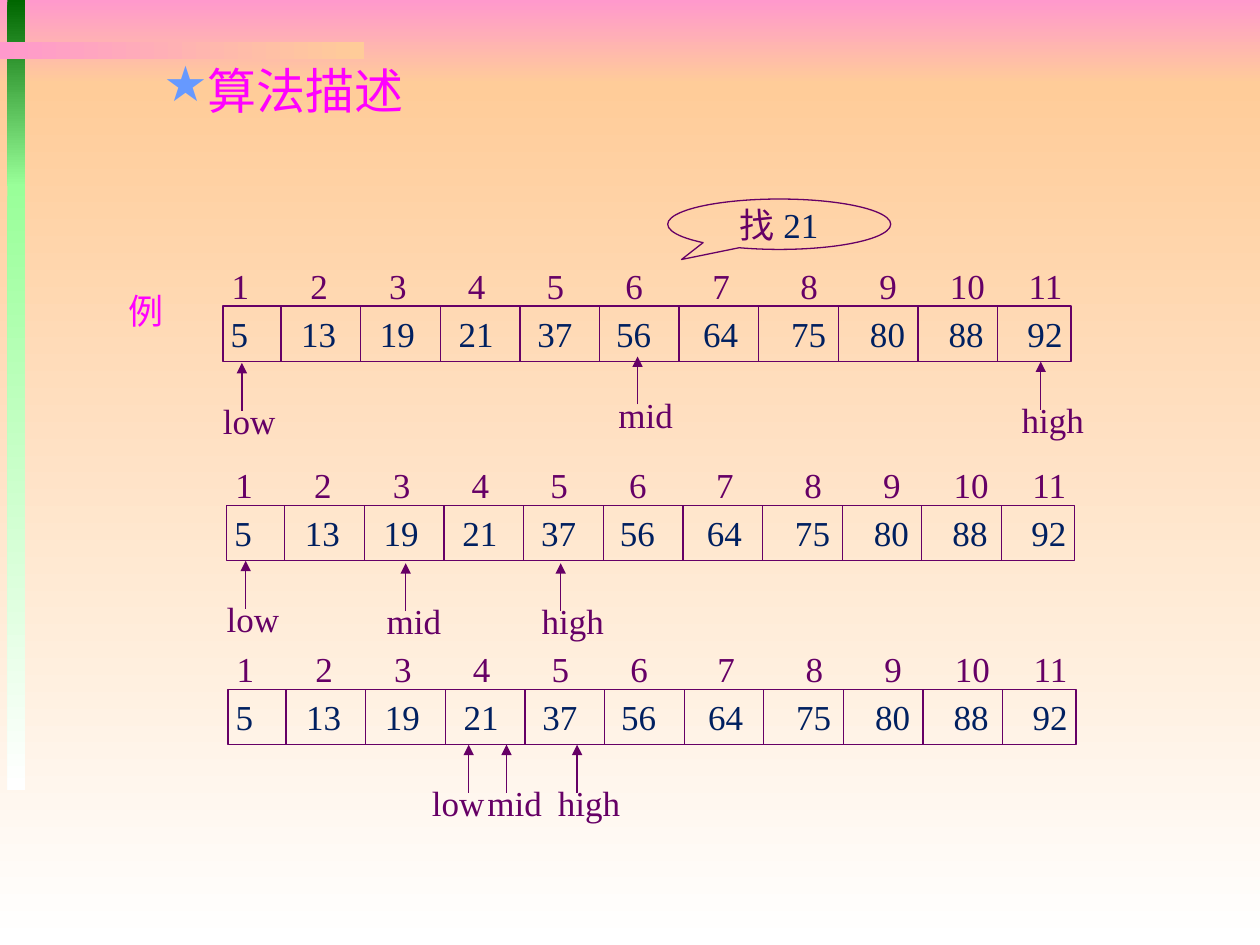
from lxml import etree
from pptx import Presentation
from pptx.dml.color import RGBColor
from pptx.enum.shapes import MSO_CONNECTOR as Link, MSO_SHAPE as Shape
from pptx.enum.text import MSO_ANCHOR as Anchor, PP_ALIGN as Align
from pptx.oxml import parse_xml
from pptx.oxml.ns import nsdecls, qn
from pptx.util import Inches, Pt

PLUM, NAVY, PINK = "660066", "002060", "FF00FF"
SERIF = "Times New Roman"
INDEX = [str(n) for n in range(1, 12)]
KEYS = "5 13 19 21 37 56 64 75 80 88 92".split()

# Distance from each number to the next, in inches
INDEX_GAPS = [0.625] * 5 + [0.69, 0.7, 0.625, 0.56, 0.625]
KEY_GAPS = [0.56] + [0.625] * 4 + [0.69, 0.7] + [0.625] * 3

LABEL_W = {"low": 0.62, "mid": 0.63, "high": 0.69}

# Each step: left and top of the array, then pointers as
# (name, arrow x, arrow tip y, label left)
STEPS = [
    (1.77, 2.43, [("low", 1.92, 2.88, 1.67), ("high", 8.26, 2.87, 8.01),
                  ("mid", 5.06, 2.83, 4.81)]),
    (1.8, 4.01, [("low", 1.95, 4.45, 1.7), ("high", 4.45, 4.47, 4.2),
                 ("mid", 3.22, 4.47, 2.97)]),
    (1.81, 5.47, [("low", 3.72, 5.91, 3.33), ("high", 4.58, 5.91, 4.33),
                  ("mid", 4.02, 5.91, 3.77)]),
]


def color(code):
    return RGBColor.from_string(code)


def add_run(para, text, code, size=20, font=SERIF):
    run = para.add_run()
    run.text = text
    run.font.size = Pt(size)
    run.font.name = font
    run.font.color.rgb = color(code)


def add_text(slide, x, y, w, h, wrap=False):
    frame = slide.shapes.add_textbox(
        Inches(x), Inches(y), Inches(w), Inches(h)).text_frame
    frame.word_wrap = wrap
    frame.margin_right = 0
    return frame


def add_form(slide, kind, x, y, w, h):
    form = slide.shapes.add_shape(
        kind, Inches(x), Inches(y), Inches(w), Inches(h))
    form.shadow.inherit = False
    return form


def add_band(slide, x, y, w, h, first, last, angle):
    band = add_form(slide, Shape.RECTANGLE, x, y, w, h)
    band.line.fill.background()
    band.fill.gradient()
    band.fill.gradient_angle = angle
    for stop, code in zip(band.fill.gradient_stops, (first, last)):
        stop.color.rgb = color(code)


def add_frame(slide, kind, x, y, w, h):
    form = add_form(slide, kind, x, y, w, h)
    form.fill.background()
    form.line.color.rgb = color(PLUM)
    form.line.width = Pt(0.75)
    form.text_frame.vertical_anchor = Anchor.MIDDLE
    return form


def add_line(slide, x, start, end, arrow=False):
    line = slide.shapes.add_connector(
        Link.STRAIGHT, Inches(x), Inches(start), Inches(x), Inches(end))
    line.line.color.rgb = color(PLUM)
    line.line.width = Pt(0.75)
    if arrow:
        edge = line.line._get_or_add_ln()
        etree.SubElement(edge, qn("a:tailEnd"), type="triangle")
    etree.SubElement(line._element.spPr, qn("a:effectLst"))


def add_series(frame, values, gaps, code):
    """Write the values on one line, spaced by tab stops."""
    para = frame.paragraphs[0]
    para.alignment = Align.LEFT
    tabs = etree.SubElement(para._p.get_or_add_pPr(), qn("a:tabLst"))
    for i in range(len(gaps)):
        place = Inches(sum(gaps[:i + 1]))
        etree.SubElement(tabs, qn("a:tab"), pos=str(place), algn="l")
    add_run(para, "\t".join(values), code)


def add_array(slide, x, y):
    # Index numbers above the cells
    frame = add_text(slide, x - 0.03, y - 0.38, 6.8, 0.43, wrap=True)
    add_series(frame, INDEX, INDEX_GAPS, PLUM)
    # Cells and their dividers
    frame = add_frame(slide, Shape.RECTANGLE, x, y, 6.73, 0.44).text_frame
    frame.margin_left = Inches(0.06)
    frame.margin_right = 0
    frame.word_wrap = True
    add_series(frame, KEYS, KEY_GAPS, NAVY)
    for i in range(len(KEYS) - 1):
        add_line(slide, x + 0.46 + 0.632 * i, y, y + 0.44)


def add_pointer(slide, name, x, tip, left):
    add_line(slide, x, tip + 0.38, tip, arrow=True)
    frame = add_text(slide, left, tip + 0.24, LABEL_W[name], 0.43)
    add_run(frame.paragraphs[0], name, PLUM)


def add_title(slide):
    frame = add_text(slide, 0.7, 0.43, 9.3, 0.45, wrap=True)
    para = frame.paragraphs[0]
    props = para._p.get_or_add_pPr()
    props.set("marL", str(Inches(0.81)))
    props.set("indent", str(Inches(-0.31)))
    for part in ('<a:buClr {}><a:srgbClr val="6699FF"/></a:buClr>',
                 '<a:buChar {} char="★"/>'):
        props.append(parse_xml(part.format(nsdecls("a"))))
    add_run(para, "算法描述", PINK, 28, "Arial")


def add_callout(slide):
    bubble = add_frame(slide, Shape.OVAL_CALLOUT, 5.3, 1.58, 1.77, 0.4)
    bubble.adjustments[0] = -0.438
    bubble.adjustments[1] = 0.7
    bubble.text_frame.word_wrap = False
    para = bubble.text_frame.paragraphs[0]
    para.alignment = Align.CENTER
    add_run(para, "找", PLUM)
    add_run(para, "21", NAVY)


def main():
    deck = Presentation()
    deck.slide_width, deck.slide_height = Inches(10), Inches(7.5)
    slide = deck.slides.add_slide(deck.slide_layouts[6])

    # Backdrop and side bars
    add_band(slide, 0, 0, 10, 0.67, "FF99CC", "FFCC99", 270)
    add_band(slide, 0, 0.67, 10, 6.83, "FFCC99", "FFFFFF", 270)
    add_band(slide, 0.06, 0, 0.14, 1.48, "006600", "99FF99", 270)
    add_band(slide, 0.06, 1.46, 0.14, 4.81, "99FF99", "FFFFFF", 270)
    add_band(slide, 0, 0.33, 2.89, 0.14, "FF99CC", "FFCC99", 0)

    # Heading, example mark and search target
    add_title(slide)
    frame = add_text(slide, 0.92, 2.25, 0.55, 0.43)
    add_run(frame.paragraphs[0], "例", PINK)
    add_callout(slide)

    # Search steps
    for x, y, marks in STEPS:
        add_array(slide, x, y)
        for mark in marks:
            add_pointer(slide, *mark)

    deck.save("out.pptx")


if __name__ == "__main__":
    main()
